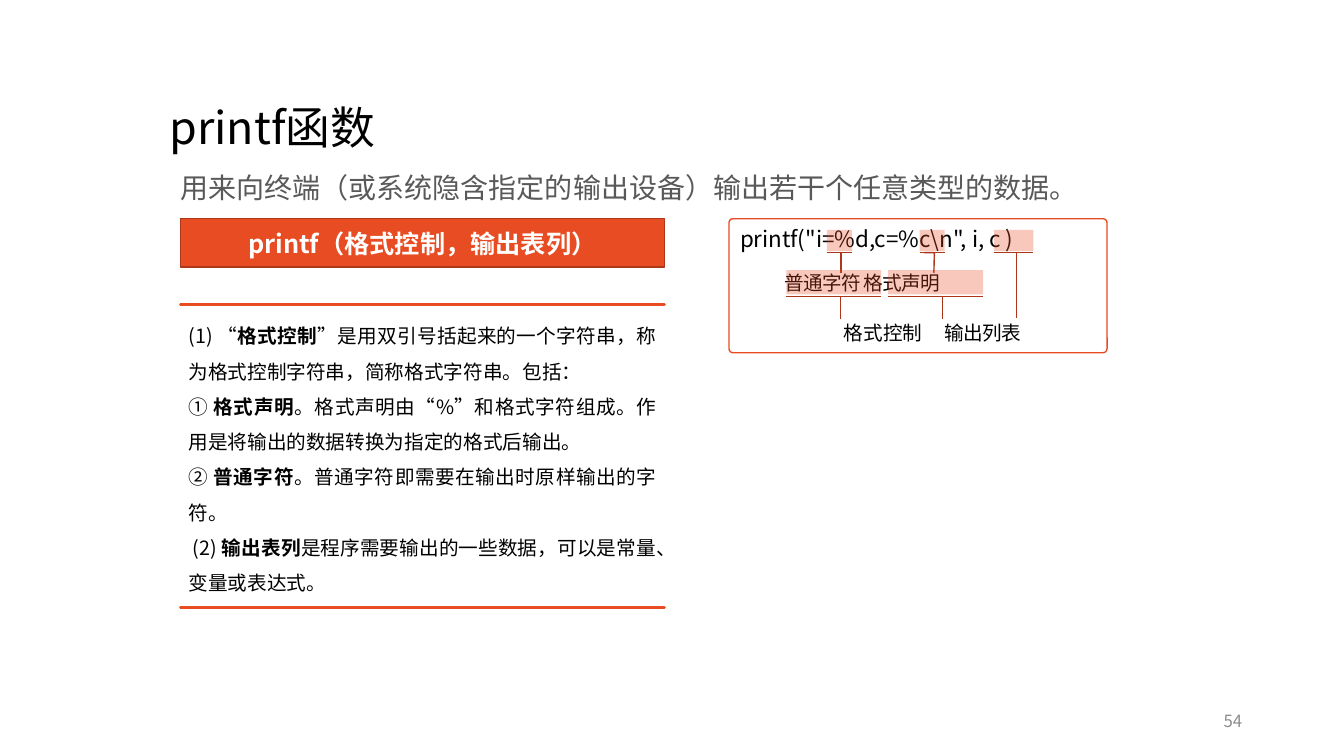
from dataclasses import dataclass

from lxml.etree import SubElement
from pptx import Presentation
from pptx.dml.color import RGBColor
from pptx.enum.shapes import MSO_SHAPE
from pptx.enum.text import MSO_ANCHOR, MSO_AUTO_SIZE, PP_ALIGN
from pptx.oxml.ns import qn
from pptx.util import Inches, Pt


@dataclass(frozen=True)
class Theme:
    font: str = "Noto Sans CJK SC"
    black: str = "000000"
    white: str = "FFFFFF"
    gray: str = "595959"
    light_gray: str = "8C8C8C"
    accent: str = "E84C22"
    dark_accent: str = "AC3819"
    title_size: int = 32
    subtitle_size: int = 20
    syntax_size: int = 18
    code_size: int = 16
    body_size: int = 14
    number_size: int = 12


THEME = Theme()

RULES = [
    [("(1) “", False), ("格式控制", True),
     ("”是用双引号括起来的一个字符串，称为格式控制字符串，简称格式字符串。包括：", False)],
    [("① ", False), ("格式声明", True),
     ("。格式声明由“%”和格式字符组成。作用是将输出的数据转换为指定的格式后输出。", False)],
    [("② ", False), ("普通字符", True),
     ("。普通字符即需要在输出时原样输出的字符。", False)],
    [(" (2) ", False), ("输出表列", True),
     ("是程序需要输出的一些数据，可以是常量、变量或表达式。", False)],
]

CODE_MARKS = [
    ((8.22, 2.26, 0.21, 0.25), 0.57, -1.03),
    ((9.14, 2.26, 0.21, 0.25), 0.59, -1.03),
    ((9.95, 2.19, 0.21, 0.39), 0.57, -3.15),
]
LABEL_MARKS = [
    ((left, 2.33, 0.24, 0.94), 0.57, -1.03) for left in (8.15, 9.16)
]


def apply_format(target, values):
    for name, value in values.items():
        setattr(target, name, value)


def box(*lengths):
    return [Inches(length) for length in lengths]


def add_run(paragraph, text, size, color, bold=False, spacing=0):
    run = paragraph.add_run()
    run.text = text
    apply_format(run.font, {"name": THEME.font, "size": Pt(size), "bold": bold})
    run.font.color.rgb = RGBColor.from_string(color)
    properties = run.font._element
    SubElement(properties, qn("a:ea"), typeface=THEME.font)
    if spacing:
        properties.set("spc", str(round(spacing * 100)))


def write_text(shape, paragraphs, size, color, frame_format=None, paragraph_format=None):
    frame = shape.text_frame
    apply_format(frame, {
        "word_wrap": True,
        "auto_size": MSO_AUTO_SIZE.NONE,
        "vertical_anchor": MSO_ANCHOR.TOP,
        **(frame_format or {}),
    })
    for index, runs in enumerate(paragraphs):
        paragraph = frame.add_paragraph() if index else frame.paragraphs[0]
        apply_format(paragraph, {"alignment": PP_ALIGN.LEFT, **(paragraph_format or {})})
        for text, *style in runs:
            add_run(paragraph, text, size, color, *style)


def paint(shape, fill, line, width=1):
    shape.shadow.inherit = False
    if fill:
        shape.fill.solid()
        shape.fill.fore_color.rgb = RGBColor.from_string(fill)
    else:
        shape.fill.background()
    shape.line.color.rgb = RGBColor.from_string(line)
    shape.line.width = Pt(width)


def add_title(slide, text):
    title = slide.shapes.title
    apply_format(title, dict(zip(("left", "top", "width", "height"), box(1.58, 0.56, 6.48, 1.45))))
    write_text(title, [[(text,)]], THEME.title_size, THEME.black,
               {"vertical_anchor": MSO_ANCHOR.MIDDLE}, {"line_spacing": 0.9})


def add_text(shapes, position, runs, size, color, frame_format=None, paragraph_format=None):
    text_box = shapes.add_textbox(*box(*position))
    write_text(text_box, [runs], size, color, frame_format, paragraph_format)


def add_panel(shapes, kind, position, fill, line):
    panel = shapes.add_shape(kind, *box(*position))
    paint(panel, fill, line)
    return panel


def add_mark(shapes, position, bend, reach):
    mark = add_panel(shapes, MSO_SHAPE.LINE_CALLOUT_2_ACCENT_BAR, position,
                     THEME.accent, THEME.dark_accent)
    mark.rotation = 270
    for index, value in enumerate((0.19, -0.08, bend, -0.08, 0.57, reach)):
        mark.adjustments[index] = value
    color = mark._element.spPr.find(qn("a:solidFill"))[0]
    SubElement(color, qn("a:alpha"), val="30000")


def add_rules(slide):
    left, right, top, bottom = box(1.79, 6.59, 3.02, 6.03)
    builder = slide.shapes.build_freeform(left, bottom)
    builder.add_line_segments([(right, bottom)], close=True)
    builder.move_to(left, top)
    builder.add_line_segments([(right, top)], close=True)
    rules = builder.convert_to_shape()
    paint(rules, None, THEME.accent, 2)
    margins = {f"margin_{side}": Inches(0.08) for side in ("left", "top", "right", "bottom")}
    write_text(rules, RULES, THEME.body_size, THEME.black, margins,
               {"alignment": PP_ALIGN.JUSTIFY, "line_spacing": 1.5})


def add_example(slide):
    shapes = slide.shapes.add_group_shape().shapes
    panel = add_panel(shapes, MSO_SHAPE.ROUNDED_RECTANGLE, (7.23, 2.17, 3.75, 1.33),
                      THEME.white, THEME.accent)
    panel.adjustments[0] = 0.03
    write_text(panel, [[(r'printf("i=%d,c=%c\n", i, c )',)]], THEME.code_size, THEME.black)
    add_text(shapes, (7.68, 2.64, 3.3, 0.34), [("普通字符 格式声明", False, -0.5)],
             THEME.body_size, THEME.black)
    for mark in CODE_MARKS + LABEL_MARKS:
        add_mark(shapes, *mark)
    add_text(shapes, (8.27, 3.13, 2.72, 0.34),
             [("格式控制\t",), ("输出列表", False, -0.5)], THEME.body_size, THEME.black)


def main():
    presentation = Presentation()
    presentation.slide_width, presentation.slide_height = box(13.33, 7.5)
    slide = presentation.slides.add_slide(presentation.slide_layouts[5])

    add_title(slide, "printf函数")
    add_text(slide.shapes, (1.69, 1.68, 9.37, 0.64),
             [("用来向终端（或系统隐含指定的输出设备）输出若干个任意类型的数据。",)],
             THEME.subtitle_size, THEME.gray, paragraph_format={"line_spacing": 0.9})
    syntax = add_panel(slide.shapes, MSO_SHAPE.RECTANGLE, (1.79, 2.17, 4.8, 0.48),
                       THEME.accent, THEME.dark_accent)
    write_text(syntax, [[("printf（格式控制，输出表列）", True)]], THEME.syntax_size, THEME.white,
               {"vertical_anchor": MSO_ANCHOR.MIDDLE}, {"alignment": PP_ALIGN.CENTER})
    add_example(slide)
    add_rules(slide)
    add_text(slide.shapes, (9.42, 6.95, 3, 0.4), [("54",)], THEME.number_size, THEME.light_gray,
             {"vertical_anchor": MSO_ANCHOR.MIDDLE}, {"alignment": PP_ALIGN.RIGHT})

    presentation.save("out.pptx")


if __name__ == "__main__":
    main()
